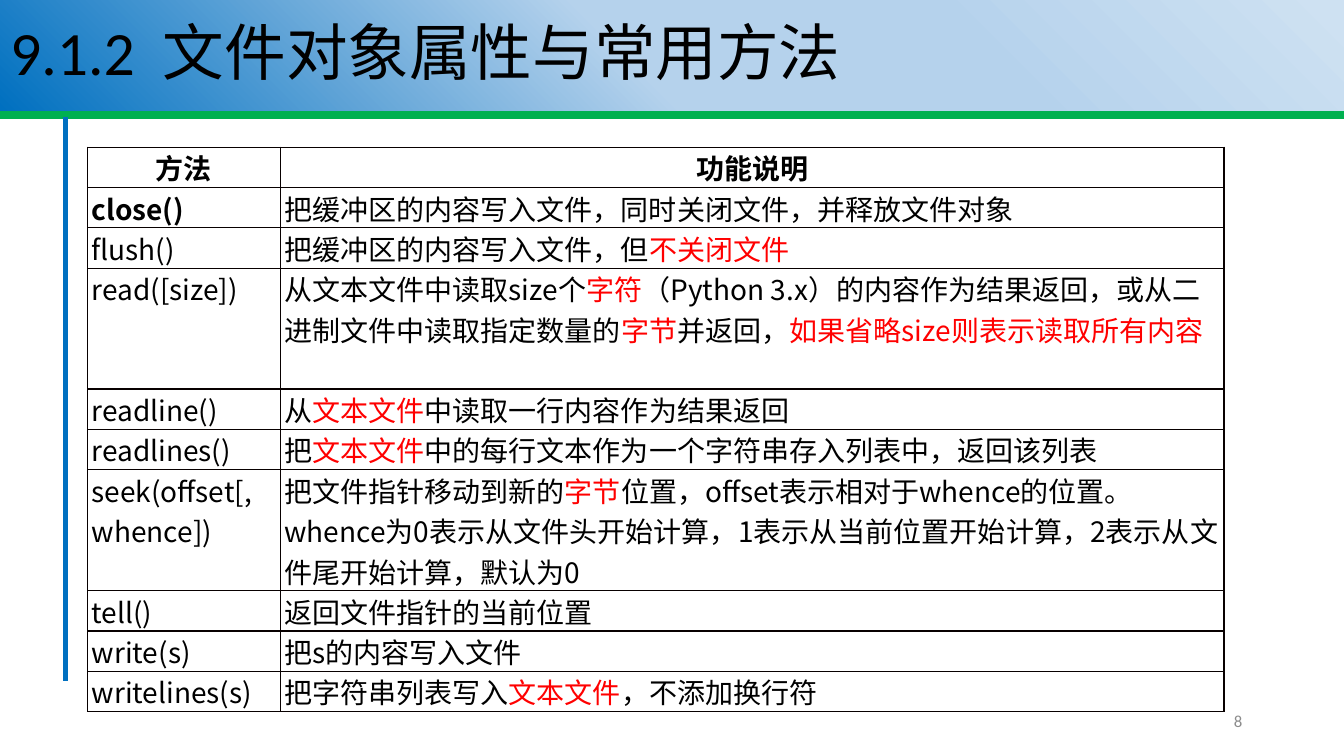
from lxml import etree
from pptx import Presentation
from pptx.dml.color import RGBColor
from pptx.enum import shapes, text
from pptx.oxml import parse_xml
from pptx.oxml.ns import nsdecls, qn
from pptx.util import Inches, Pt

TITLE = "9.1.2  文件对象属性与常用方法"
PAGE_NUMBER = "8"
HEADER = ("方法", "功能说明")
# (method, description with red parts between bars, lines of text)
METHODS = [
    ("close()", "把缓冲区的内容写入文件，同时关闭文件，并释放文件对象", 1),
    ("flush()", "把缓冲区的内容写入文件，但|不关闭文件|", 1),
    ("read([size])", "从文本文件中读取size个|字符|（Python 3.x）的内容作为结果返回，"
     "或从二进制文件中读取指定数量的|字节|并返回，|如果省略size则表示读取所有内容|", 3),
    ("readline()", "从|文本文件|中读取一行内容作为结果返回", 1),
    ("readlines()", "把|文本文件|中的每行文本作为一个字符串存入列表中，返回该列表", 1),
    ("seek(offset[, whence])", "把文件指针移动到新的|字节|位置，offset表示相对于whence的位置。"
     "whence为0表示从文件头开始计算，1表示从当前位置开始计算，2表示从文件尾开始计算，默认为0", 3),
    ("tell()", "返回文件指针的当前位置", 1),
    ("write(s)", "把s的内容写入文件", 1),
    ("writelines(s)", "把字符串列表写入|文本文件|，不添加换行符", 1),
]
BOLD_METHOD = "close()"
COLORS = {"text": "000000", "mark": "FF0000", "border": "080000",
          "rule": "00B050", "bar": "0070C0", "number": "8C8C8C"}
BAND_STOPS = [(1, "CEE1F2"), (29, "B5D2EC"), (53, "B5D2EC"), (100, "0070C0")]
TITLE_FONT, TABLE_FONT = "Calibri", "Noto Sans CJK SC"
COLUMN_WIDTHS = (1.91, 9.36)
LINE_HEIGHT = 0.4


def format_run(run, size, font, color, bold=False):
    run.font.size = Pt(size)
    run.font.name = font
    run.font.bold = bold
    run.font.color.rgb = RGBColor.from_string(COLORS[color])
    east_asian = etree.SubElement(run.font._element, qn("a:ea"))
    east_asian.set("typeface", TABLE_FONT)


def add_rule(slide, start, end, color, width):
    line = slide.shapes.add_connector(
        shapes.MSO_CONNECTOR.STRAIGHT, *map(Inches, start + end))
    line.line.color.rgb = RGBColor.from_string(COLORS[color])
    line.line.width = Pt(width)
    etree.SubElement(line._element.spPr, qn("a:effectLst"))


def add_title(slide):
    title = slide.shapes.title
    title.left, title.top, title.width, title.height = map(Inches, (0, 0, 13.33, 1.1))
    stops = "".join(f'<a:gs pos="{position * 1000}"><a:srgbClr val="{color}"/></a:gs>'
                    for position, color in BAND_STOPS)
    title._element.spPr.append(parse_xml(
        f'<a:gradFill {nsdecls("a")} rotWithShape="1"><a:gsLst>{stops}</a:gsLst>'
        f'<a:lin ang="{135 * 60000}" scaled="0"/></a:gradFill>'))
    frame = title.text_frame
    frame.text = TITLE
    frame.vertical_anchor = text.MSO_ANCHOR.MIDDLE
    paragraph = frame.paragraphs[0]
    paragraph.alignment = text.PP_ALIGN.LEFT
    paragraph.line_spacing = 0.9
    format_run(paragraph.runs[0], 44, TITLE_FONT, "text")


def add_page_number(slide):
    box = slide.shapes.add_textbox(*map(Inches, (9.42, 6.95, 3, 0.4)))
    frame = box.text_frame
    frame.word_wrap = True
    frame.vertical_anchor = text.MSO_ANCHOR.MIDDLE
    frame.text = PAGE_NUMBER
    frame.paragraphs[0].alignment = text.PP_ALIGN.RIGHT
    format_run(frame.paragraphs[0].runs[0], 12, TITLE_FONT, "number")


def fill_cell(cell, content, header):
    cell.margin_left = Inches(0 if header else 0.04)
    cell.margin_right = cell.margin_top = cell.margin_bottom = 0
    paragraph = cell.text_frame.paragraphs[0]
    paragraph.alignment = text.PP_ALIGN.CENTER if header else text.PP_ALIGN.LEFT
    for index, part in enumerate(content.split("|")):
        if part:
            run = paragraph.add_run()
            run.text = part
            format_run(run, 20, TABLE_FONT, "mark" if index % 2 else "text",
                       header or content == BOLD_METHOD)
    properties = cell._tc.get_or_add_tcPr()
    for side in "LRTB":
        properties.append(parse_xml(
            f'<a:ln{side} {nsdecls("a")} w="{Pt(1)}"><a:solidFill>'
            f'<a:srgbClr val="{COLORS["border"]}"/></a:solidFill></a:ln{side}>'))
    cell.fill.background()


def add_method_table(slide):
    rows = [(*HEADER, 1)] + METHODS
    height = LINE_HEIGHT * sum(lines for *_, lines in rows)
    table = slide.shapes.add_table(
        len(rows), len(HEADER), Inches(0.87), Inches(1.46),
        Inches(sum(COLUMN_WIDTHS)), Inches(height)).table
    table.first_row = table.horz_banding = False
    for column, width in zip(table.columns, COLUMN_WIDTHS):
        column.width = Inches(width)
    for row_index, (*contents, lines) in enumerate(rows):
        table.rows[row_index].height = Inches(LINE_HEIGHT * lines)
        for column_index, content in enumerate(contents):
            fill_cell(table.cell(row_index, column_index), content, row_index == 0)


def main():
    presentation = Presentation()
    presentation.slide_width, presentation.slide_height = Inches(13.33), Inches(7.5)
    slide = presentation.slides.add_slide(presentation.slide_layouts[5])
    add_rule(slide, (0, 1.14), (13.33, 1.14), "rule", 5.25)
    add_rule(slide, (0.65, 1.16), (0.65, 6.76), "bar", 3.75)
    add_title(slide)
    add_page_number(slide)
    add_method_table(slide)
    presentation.save("out.pptx")


if __name__ == "__main__":
    main()
